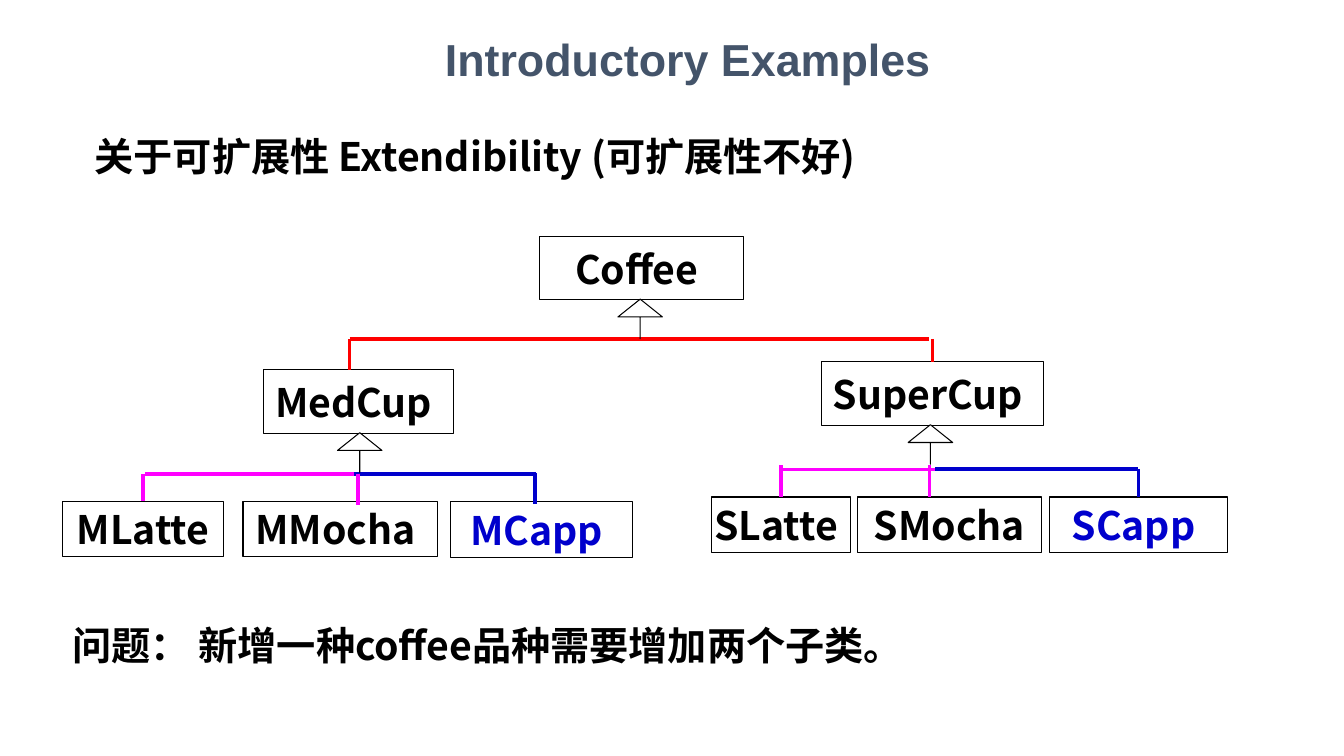
from dataclasses import dataclass

from lxml.etree import SubElement
from pptx import Presentation
from pptx.dml.color import RGBColor
from pptx.enum.shapes import MSO_CONNECTOR, MSO_SHAPE
from pptx.enum.text import MSO_ANCHOR, MSO_AUTO_SIZE, PP_ALIGN
from pptx.oxml.ns import qn
from pptx.util import Pt


@dataclass(frozen=True)
class Theme:
    title_font: str = "Arial"
    body_font: str = "Noto Sans CJK SC"
    title_size: int = 32
    body_size: int = 28
    title: RGBColor = RGBColor(0x44, 0x54, 0x6A)
    ink: RGBColor = RGBColor(0, 0, 0)
    paper: RGBColor = RGBColor(0xFF, 0xFF, 0xFF)
    cup: RGBColor = RGBColor(0xFF, 0, 0)
    flavour: RGBColor = RGBColor(0xFF, 0, 0xFF)
    added: RGBColor = RGBColor(0, 0, 0xCC)
    outline: float = 0.75
    branch: float = 2.5


THEME = Theme()


@dataclass(frozen=True)
class Box:
    left: float
    top: float
    width: float
    height: float

    def place(self):
        return [Pt(value) for value in (self.left, self.top, self.width, self.height)]

    @property
    def middle(self):
        return self.left + self.width / 2

    @property
    def bottom(self):
        return self.top + self.height


@dataclass(frozen=True)
class Child:
    """A subclass; without drop_x its branch joins the middle of the top side."""
    name: str
    box: Box
    color: RGBColor
    drop_top: float
    drop_x: float = None
    drop_bottom: float = None
    text_color: RGBColor = THEME.ink
    inset: float = 14.2


def add_text(paragraph, text, font_name, size, color):
    run = paragraph.add_run()
    run.text = text
    run.font.name = font_name
    run.font.size = Pt(size)
    run.font.bold = True
    run.font.color.rgb = color
    east_asian = SubElement(run._r.get_or_add_rPr(), qn("a:ea"))
    east_asian.set("typeface", font_name)


def draw_title(slide, box, text):
    title = slide.shapes.title
    title.left, title.top, title.width, title.height = box.place()
    frame = title.text_frame
    frame.vertical_anchor = MSO_ANCHOR.MIDDLE
    paragraph = frame.paragraphs[0]
    paragraph.alignment = PP_ALIGN.CENTER
    add_text(paragraph, text, THEME.title_font, THEME.title_size, THEME.title)


def draw_statement(slide, box, text):
    frame = slide.shapes.add_textbox(*box.place()).text_frame
    frame.word_wrap = True
    frame.auto_size = MSO_AUTO_SIZE.SHAPE_TO_FIT_TEXT
    add_text(frame.paragraphs[0], text, THEME.body_font, THEME.body_size, THEME.ink)


def draw_outlined(slide, kind, box):
    shape = slide.shapes.add_shape(kind, *box.place())
    shape.shadow.inherit = False
    shape.fill.solid()
    shape.fill.fore_color.rgb = THEME.paper
    shape.line.color.rgb = THEME.ink
    shape.line.width = Pt(THEME.outline)
    return shape


def draw_class(slide, box, name, color=THEME.ink, inset=14.2):
    shape = draw_outlined(slide, MSO_SHAPE.RECTANGLE, box)
    frame = shape.text_frame
    frame.word_wrap = False
    frame.vertical_anchor = MSO_ANCHOR.MIDDLE
    frame.margin_right = Pt(inset)
    paragraph = frame.paragraphs[0]
    paragraph.alignment = PP_ALIGN.CENTER
    add_text(paragraph, name, THEME.body_font, THEME.body_size, color)
    return shape


def draw_line(slide, start, end, color):
    line = slide.shapes.add_connector(
        MSO_CONNECTOR.STRAIGHT, *(Pt(value) for value in (*start, *end)))
    line.line.color.rgb = color
    line.line.width = Pt(THEME.branch)
    SubElement(line._element.spPr, qn("a:effectLst"))
    return line


def draw_subclasses(slide, parent, arrow_x, bars, children):
    """Inheritance arrow under the parent box, bars, and the branches to the children."""
    for left, right, y, color in bars:
        draw_line(slide, (left, y), (right, y), color)
    for child in children:
        shape = draw_class(slide, child.box, child.name, child.text_color, child.inset)
        x = child.drop_x or child.box.middle
        bottom = child.drop_bottom or child.box.top
        branch = draw_line(slide, (x, child.drop_top), (x, bottom), child.color)
        if child.drop_x is None:
            branch.end_connect(shape, 0)
    arrow_box = Box(arrow_x - 15.9, parent.bottom - 0.5, 31.8, 28.3)
    arrow = draw_outlined(slide, MSO_SHAPE.UP_ARROW, arrow_box)
    arrow.adjustments[0] = 0
    arrow.adjustments[1] = 0.449


def draw_hierarchy(slide, box):
    def inside(left, top, width, height):
        return Box(box.left + left, box.top + top, width, height)

    def x(value):
        return box.left + value

    def y(value):
        return box.top + value

    coffee = inside(340.6, 0, 146.2, 45)
    medium = inside(143.4, 95, 136, 45.4)
    large = inside(542.4, 89.3, 158.3, 45.4)

    # Root and the two cup sizes
    draw_class(slide, coffee, "Coffee")
    draw_subclasses(slide, coffee, x(412.7), [(x(205.2), x(619.2), y(72.8), THEME.cup)], [
        Child("MedCup", medium, THEME.cup, y(72.8), x(205.2), medium.top),
        Child("SuperCup", large, THEME.cup, y(72.8)),
    ])

    # Medium cups
    bar = y(169.3)
    draw_subclasses(slide, medium, x(212.4), [
        (x(59), x(209.5), bar, THEME.flavour),
        (x(208), x(338.4), bar, THEME.added),
    ], [
        Child("MLatte", inside(0, 188.7, 115.2, 39.6), THEME.flavour, bar, inset=7.2),
        Child("MMocha", inside(129, 188.7, 139, 39.6), THEME.flavour, bar, x(211), y(191.5)),
        Child("MCapp", inside(277.4, 189.2, 129.6, 39.6), THEME.added, bar - 0.7,
              x(337.7), y(190.8), THEME.added),
    ])

    # Super cups
    bar = y(166.2)
    draw_subclasses(slide, large, x(620), [
        (x(512.6), x(629.3), bar, THEME.flavour),
        (x(623.5), x(768.2), bar - 0.5, THEME.added),
    ], [
        Child("SLatte", inside(463.7, 185.8, 99.4, 39.6), THEME.flavour, bar - 3),
        Child("SMocha", inside(568.1, 185.8, 131, 39.6), THEME.flavour, bar - 3,
              x(619.2), y(185.8), inset=7.2),
        Child("SCapp", inside(704.9, 185.8, 127.4, 39.6), THEME.added, bar - 0.5,
              text_color=THEME.added),
    ])


def main():
    presentation = Presentation()
    presentation.slide_width = Pt(960)
    presentation.slide_height = Pt(540)
    slide = presentation.slides.add_slide(presentation.slide_layouts[5])
    draw_title(slide, Box(247.7, 20.2, 487.4, 43.9), "Introductory Examples")
    draw_statement(slide, Box(60.5, 90.7, 762.5, 41), "关于可扩展性 Extendibility (可扩展性不好)")
    draw_hierarchy(slide, Box(44.6, 169.2, 832.3, 229))
    draw_statement(slide, Box(44.6, 439.9, 690.5, 41), "问题： 新增一种coffee品种需要增加两个子类。")
    presentation.save("out.pptx")


if __name__ == "__main__":
    main()
